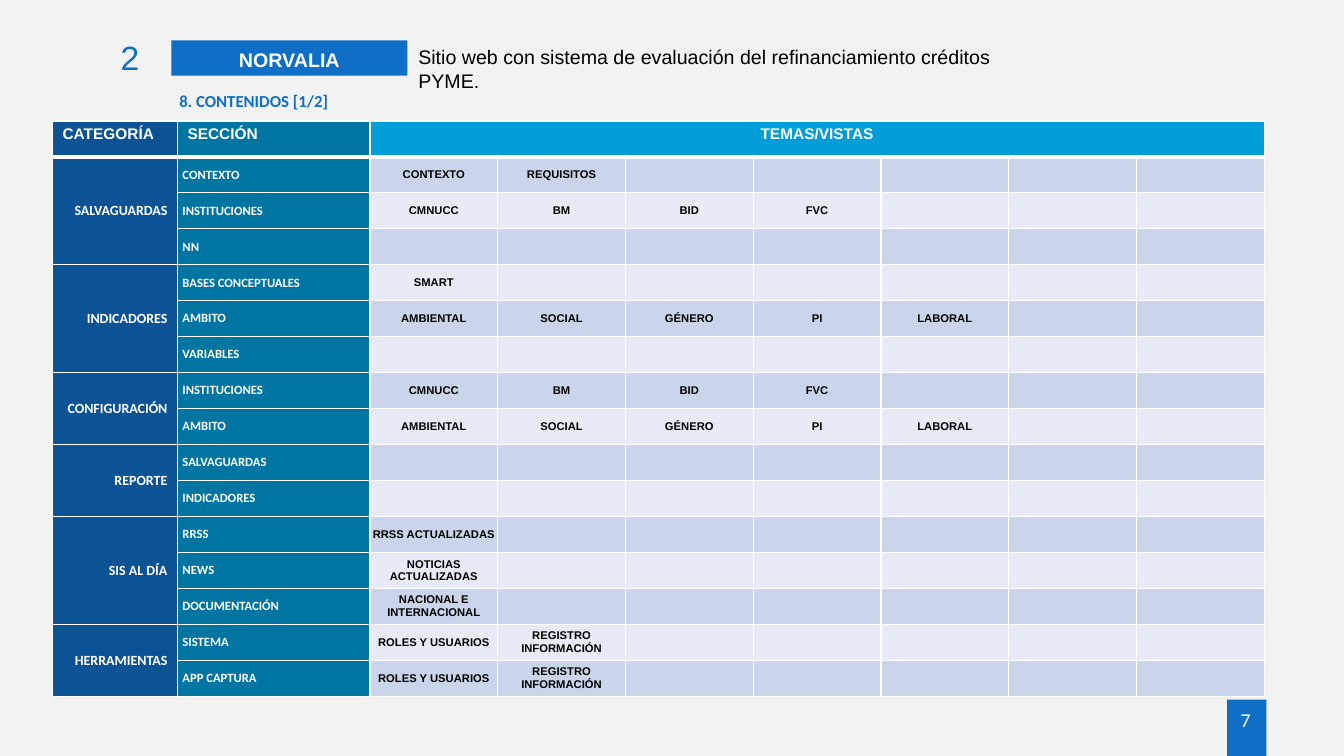
from pptx import Presentation
from pptx.dml.color import RGBColor
from pptx.enum.shapes import MSO_SHAPE as Shape
from pptx.enum.text import MSO_ANCHOR as Anchor, PP_ALIGN as Align
from pptx.oxml import parse_xml
from pptx.oxml.ns import nsdecls
from pptx.util import Inches, Pt

BLUE, NAVY, TEAL, SKY = "0F6FC6", "0B5394", "0075A2", "009DD9"
WHITE, BLACK, PAPER = "FFFFFF", "000000", "F2F2F2"
BANDS = ("CAD4EA", "E6EBF5")
TOPIC_COLUMNS = 7
COLUMN_WIDTHS = [1.24, 1.91] + [8.87 / TOPIC_COLUMNS] * TOPIC_COLUMNS
HEADERS = (("CATEGORÍA", NAVY, Align.LEFT), ("SECCIÓN", TEAL, Align.LEFT),
           ("TEMAS/VISTAS", SKY, Align.CENTER))
INSTITUTIONS = ["CMNUCC", "BM", "BID", "FVC"]
SCOPES = ["AMBIENTAL", "SOCIAL", "GÉNERO", "PI", "LABORAL"]
CONTENTS = {
    "SALVAGUARDAS": [("CONTEXTO", ["CONTEXTO", "REQUISITOS"]),
                     ("INSTITUCIONES", INSTITUTIONS), ("NN", [])],
    "INDICADORES": [("BASES CONCEPTUALES", ["SMART"]),
                    ("AMBITO", SCOPES), ("VARIABLES", [])],
    "CONFIGURACIÓN": [("INSTITUCIONES", INSTITUTIONS), ("AMBITO", SCOPES)],
    "REPORTE": [("SALVAGUARDAS", []), ("INDICADORES", [])],
    "SIS AL DÍA": [("RRSS", ["RRSS ACTUALIZADAS"]),
                   ("NEWS", ["NOTICIAS ACTUALIZADAS"]),
                   ("DOCUMENTACIÓN", ["NACIONAL E INTERNACIONAL"])],
    "HERRAMIENTAS": [("SISTEMA", ["ROLES Y USUARIOS", "REGISTRO INFORMACIÓN"]),
                     ("APP CAPTURA", ["ROLES Y USUARIOS", "REGISTRO INFORMACIÓN"])],
}


def rgb(value):
    return RGBColor.from_string(value)


def write(frame, text, size, color, font="Arial", bold=False, align=Align.LEFT):
    frame.text = text
    paragraph = frame.paragraphs[0]
    paragraph.alignment = align
    for run in paragraph.runs:
        run.font.name = font
        run.font.size = Pt(size)
        run.font.bold = bold
        run.font.color.rgb = rgb(color)
    return paragraph


def add_label(slide, box, text, size, color, **style):
    label = slide.shapes.add_textbox(*map(Inches, box))
    label.text_frame.word_wrap = True
    write(label.text_frame, text, size, color, **style)
    return label


def add_block(slide, box):
    block = slide.shapes.add_shape(Shape.RECTANGLE, *map(Inches, box))
    block.shadow.inherit = False
    block.fill.solid()
    block.fill.fore_color.rgb = rgb(BLUE)
    block.line.fill.background()
    return block


def set_margins(target, side, top):
    target.margin_left = target.margin_right = Inches(side)
    target.margin_top = target.margin_bottom = Inches(top)


def style_cell(cell, fill, bottom=1):
    properties = cell._tc.get_or_add_tcPr()
    for side, width in (("L", 1), ("R", 1), ("T", 1), ("B", bottom)):
        properties.append(parse_xml(
            f'<a:ln{side} {nsdecls("a")} w="{Pt(width)}"><a:solidFill>'
            f'<a:srgbClr val="{WHITE}"/></a:solidFill></a:ln{side}>'))
    cell.fill.solid()
    cell.fill.fore_color.rgb = rgb(fill)
    cell.vertical_anchor = Anchor.MIDDLE
    set_margins(cell, 0, 0)


def fill_cell(cell, text, size, color, side=0, top=0, **style):
    set_margins(cell, side, top)
    write(cell.text_frame, text, size, color, bold=True, **style)


def add_contents_table(slide):
    row_count = 1 + sum(len(sections) for sections in CONTENTS.values())
    table = slide.shapes.add_table(
        row_count, len(COLUMN_WIDTHS), Inches(0.52), Inches(1.2),
        Inches(sum(COLUMN_WIDTHS)), Inches(5.71)).table
    for column, width in zip(table.columns, COLUMN_WIDTHS):
        column.width = Inches(width)

    for row in range(row_count):
        body = SKY if row == 0 else BANDS[(row - 1) % 2]
        for column in range(len(COLUMN_WIDTHS)):
            fill = (NAVY, TEAL)[column] if column < 2 else body
            style_cell(table.cell(row, column), fill, 3 if row == 0 else 1)

    table.cell(0, 2).merge(table.cell(0, len(COLUMN_WIDTHS) - 1))
    for column, (text, fill, align) in enumerate(HEADERS):
        header = table.cell(0, column)
        header.vertical_anchor = Anchor.TOP
        fill_cell(header, text, 11, WHITE, 0.1, 0.05, align=align)

    row = 1
    for category, sections in CONTENTS.items():
        table.cell(row, 0).merge(table.cell(row + len(sections) - 1, 0))
        fill_cell(table.cell(row, 0), category, 10, WHITE, 0.1, 0.05,
                  font="Calibri", align=Align.RIGHT)
        for section, topics in sections:
            fill_cell(table.cell(row, 1), section, 9, WHITE, 0.05, 0.05, font="Calibri")
            for column, topic in enumerate(topics, 2):
                fill_cell(table.cell(row, column), topic, 8, BLACK, align=Align.CENTER)
            row += 1


def main():
    deck = Presentation()
    deck.slide_width, deck.slide_height = Inches(13.33), Inches(7.5)
    slide = deck.slides.add_slide(deck.slide_layouts[6])
    slide.background.fill.solid()
    slide.background.fill.fore_color.rgb = rgb(PAPER)

    add_block(slide, (12.17, 6.94, 0.39, 0.56))
    page_number = add_label(slide, (12.05, 7, 0.61, 0.33), "7", 14, WHITE,
                            font="Calibri", align=Align.CENTER)
    set_margins(page_number.text_frame, 0.05, 0.02)

    add_label(slide, (4.05, 0.4, 5.99, 0.75),
              "Sitio web con sistema de evaluación del refinanciamiento créditos PYME.",
              14, BLACK)
    product = add_block(slide, (1.7, 0.4, 2.34, 0.35))
    product.text_frame.vertical_anchor = Anchor.TOP
    write(product.text_frame, "NORVALIA", 14, WHITE, bold=True,
          align=Align.CENTER).line_spacing = 1.1
    add_label(slide, (0.59, 0.32, 0.89, 0.5), "2", 24, BLUE, align=Align.RIGHT)

    add_contents_table(slide)
    add_label(slide, (1.68, 0.85, 4.96, 0.3), "8. CONTENIDOS [1/2]", 12, BLUE,
              font="Calibri", bold=True)
    deck.save("out.pptx")


if __name__ == "__main__":
    main()
